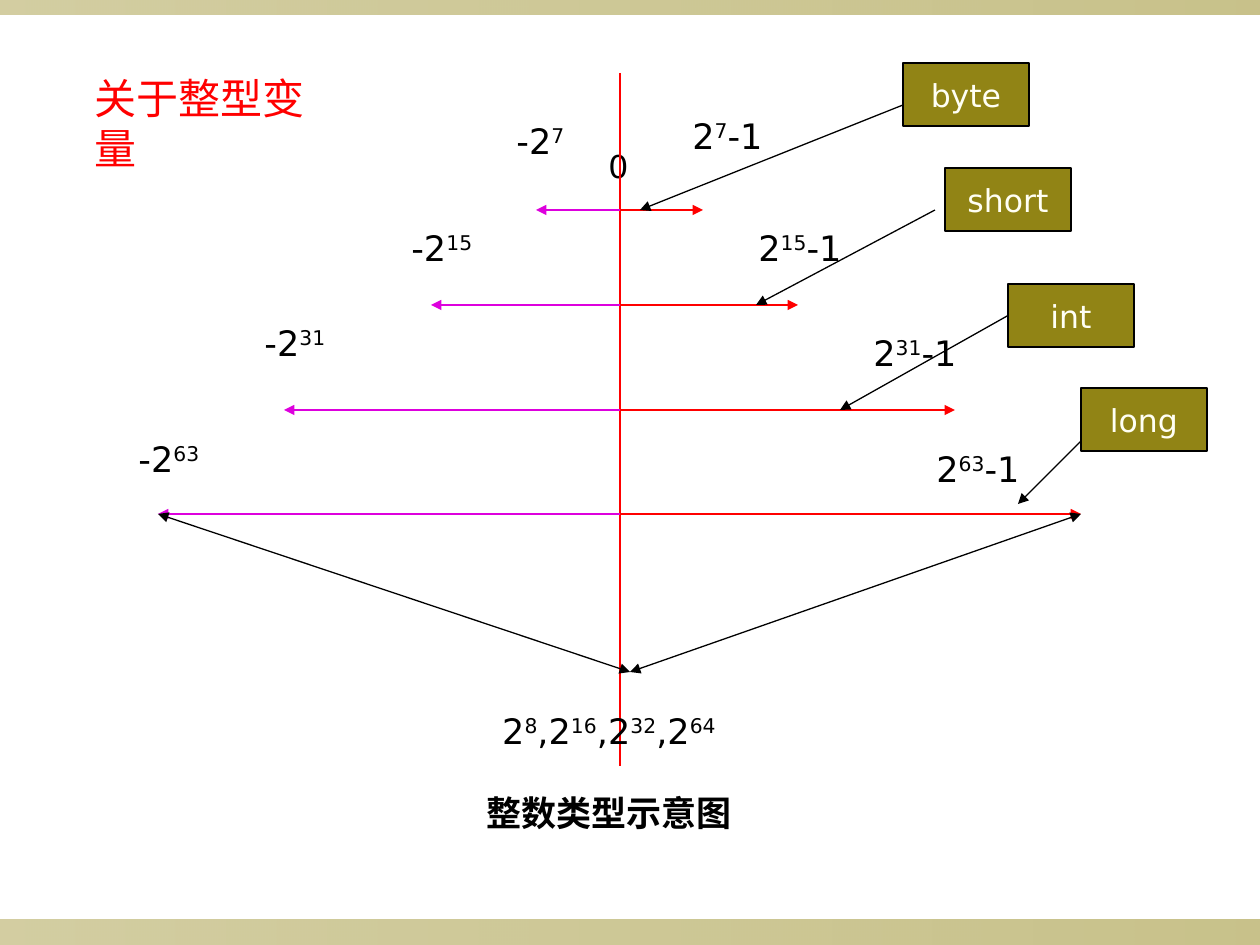
from lxml.etree import SubElement
from pptx import Presentation
from pptx.dml.color import RGBColor
from pptx.enum.shapes import MSO_CONNECTOR, MSO_SHAPE
from pptx.enum.text import MSO_ANCHOR, MSO_AUTO_SIZE, PP_ALIGN
from pptx.oxml.ns import qn
from pptx.util import Pt

SCALE = 914400 / 126
FONT = "DejaVu Sans"
COLORS = {"olive": "918415", "red": "FF0000", "pink": "DD00DD",
          "black": "000000", "cream": "FFFFF4"}
AXIS = 620
BOX = (126, 63)
# name, bits, row y, ends of the range, label places, box place, pointer
TYPES = [
    ("byte", "7", 210, (536, 703), (504, 113), (680, 108), (903, 63),
     (903, 105, 640, 210)),
    ("short", "15", 305, (431, 798), (399, 220), (746, 220), (945, 168),
     (935, 210, 756, 305)),
    ("int", "31", 410, (284, 955), (252, 315), (861, 325), (1008, 284),
     (1008, 315, 840, 410)),
    ("long", "63", 514, (158, 1081), (126, 431), (924, 441), (1081, 388),
     (1081, 441, 1018, 504)),
]


def emu(*sizes):
    return [round(size * SCALE) for size in sizes]


def color(name):
    return RGBColor.from_string(COLORS[name])


def write(para, parts, size=20, ink="black", font=FONT, bold=False):
    """Add one run per part; every second part is an exponent."""
    for index, part in enumerate(parts):
        run = para.add_run()
        run.text = part
        run.font.size = Pt(size)
        run.font.name = font
        run.font.bold = bold
        run.font.color.rgb = color(ink)
        if index % 2:
            run.font._element.set("baseline", "30000")


def add_text(slide, area, parts, align=PP_ALIGN.LEFT, wrap=True, **style):
    frame = slide.shapes.add_textbox(*emu(*area)).text_frame
    frame.word_wrap = wrap
    para = frame.paragraphs[0]
    para.alignment = align
    write(para, parts, **style)


def add_line(slide, ends, ink="black", head=False, tail=True):
    line = slide.shapes.add_connector(MSO_CONNECTOR.STRAIGHT, *emu(*ends))
    line.line.color.rgb = color(ink)
    line.line.width = Pt(0.75)
    for tag, shown in (("a:headEnd", head), ("a:tailEnd", tail)):
        if shown:
            SubElement(line.line._get_or_add_ln(), qn(tag), type="triangle")
    SubElement(line._element.spPr, qn("a:effectLst"))
    return line


def add_rect(slide, area):
    rect = slide.shapes.add_shape(MSO_SHAPE.RECTANGLE, *emu(*area))
    rect.shadow.inherit = False
    return rect


def add_band(slide, top, height):
    band = add_rect(slide, (0, top, 1260, height))
    band.line.fill.background()
    band.fill.gradient()
    band.fill.gradient_angle = 0
    for stop, place, alpha in zip(band.fill.gradient_stops, (0, 1), (40, 50)):
        stop.position = place
        stop.color.rgb = color("olive")
        SubElement(stop._gs[0], qn("a:alpha"), val=str(alpha * 1000))


def add_box(slide, name, place):
    box = add_rect(slide, place + BOX)
    box.fill.solid()
    box.fill.fore_color.rgb = color("olive")
    box.line.color.rgb = color("black")
    box.line.width = Pt(0.75)
    frame = box.text_frame
    frame.word_wrap = False
    frame.vertical_anchor = MSO_ANCHOR.MIDDLE
    frame.paragraphs[0].alignment = PP_ALIGN.CENTER
    write(frame.paragraphs[0], [name], size=18, ink="cream")
    return box


def set_title(slide, text):
    title = slide.shapes.title
    title.left, title.top, title.width, title.height = emu(82, 66, 277, 63)
    frame = title.text_frame
    frame.word_wrap = False
    frame.auto_size = MSO_AUTO_SIZE.NONE
    frame.vertical_anchor = MSO_ANCHOR.TOP
    frame.paragraphs[0].alignment = PP_ALIGN.LEFT
    write(frame.paragraphs[0], [text], size=24, ink="red", font="Arial")


def add_type(slide, name, bits, y, ends, low, high, place, pointer):
    """Draw the range of one type with its limits and its named box."""
    for end, ink in zip(ends, ("pink", "red")):
        add_line(slide, (AXIS, y, end, y), ink)
    add_text(slide, low + (105, 55), ["-2", bits])
    add_text(slide, high + (265, 55), ["2", bits, "-1"])
    box = add_box(slide, name, place)
    line = add_line(slide, pointer)
    middle = (place[0], place[1] + BOX[1] // 2)
    if pointer[:2] == middle:
        line.begin_connect(box, 1)


def main():
    deck = Presentation()
    deck.slide_width, deck.slide_height = emu(1260, 945)
    slide = deck.slides.add_slide(deck.slide_layouts[5])
    add_band(slide, 920, 25)
    add_band(slide, 0, 15)
    set_title(slide, "关于整型变量")
    add_text(slide, (596, 141, 43, 50), ["0"], wrap=False, size=18)
    add_line(slide, (AXIS, 73, AXIS, 766), "red", tail=False)
    for row in TYPES:
        add_type(slide, *row)
    y, ends = TYPES[-1][2:4]
    for end in ends:
        add_line(slide, (end, y, 630, 672), head=True)
    add_text(slide, (273, 703, 672, 55),
             ["2", "8", ",2", "16", ",2", "32", ",2", "64"], PP_ALIGN.CENTER)
    add_text(slide, (231, 785, 756, 55), ["整数类型示意图"],
             PP_ALIGN.CENTER, bold=True)
    deck.save("out.pptx")


if __name__ == "__main__":
    main()
